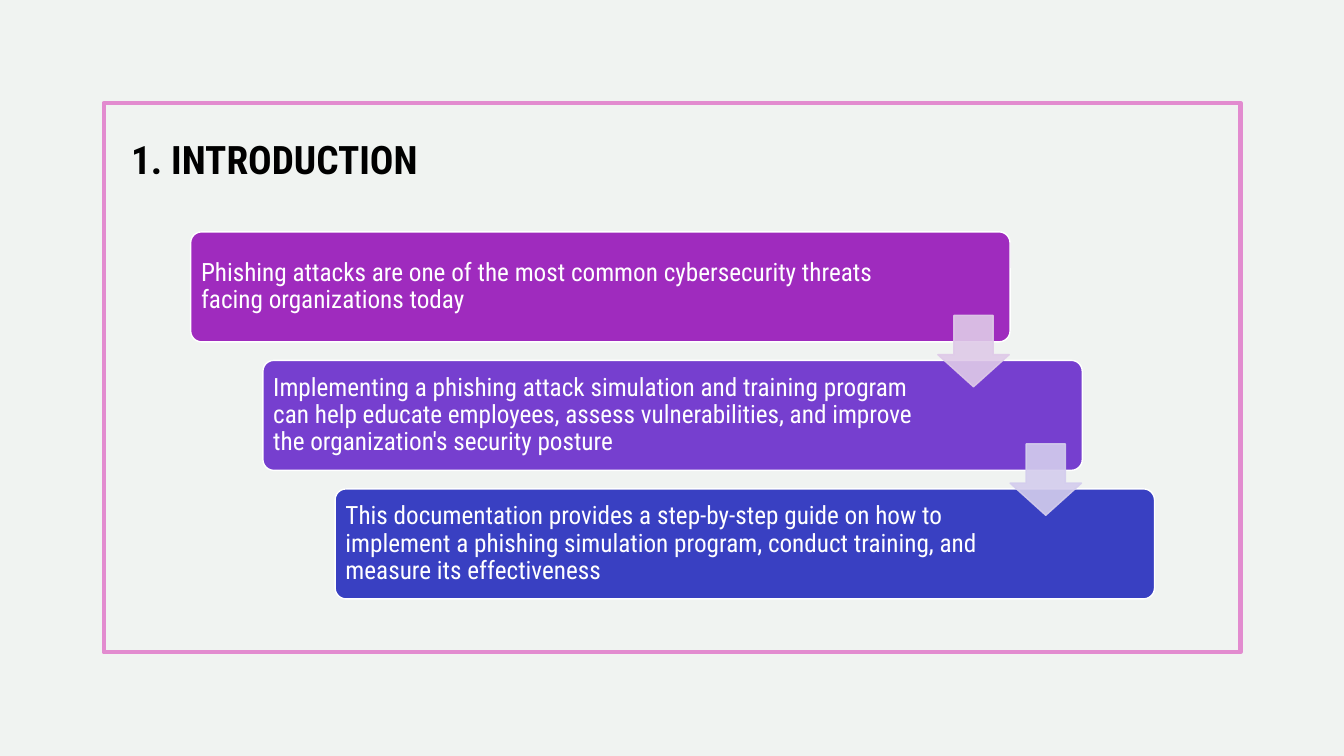
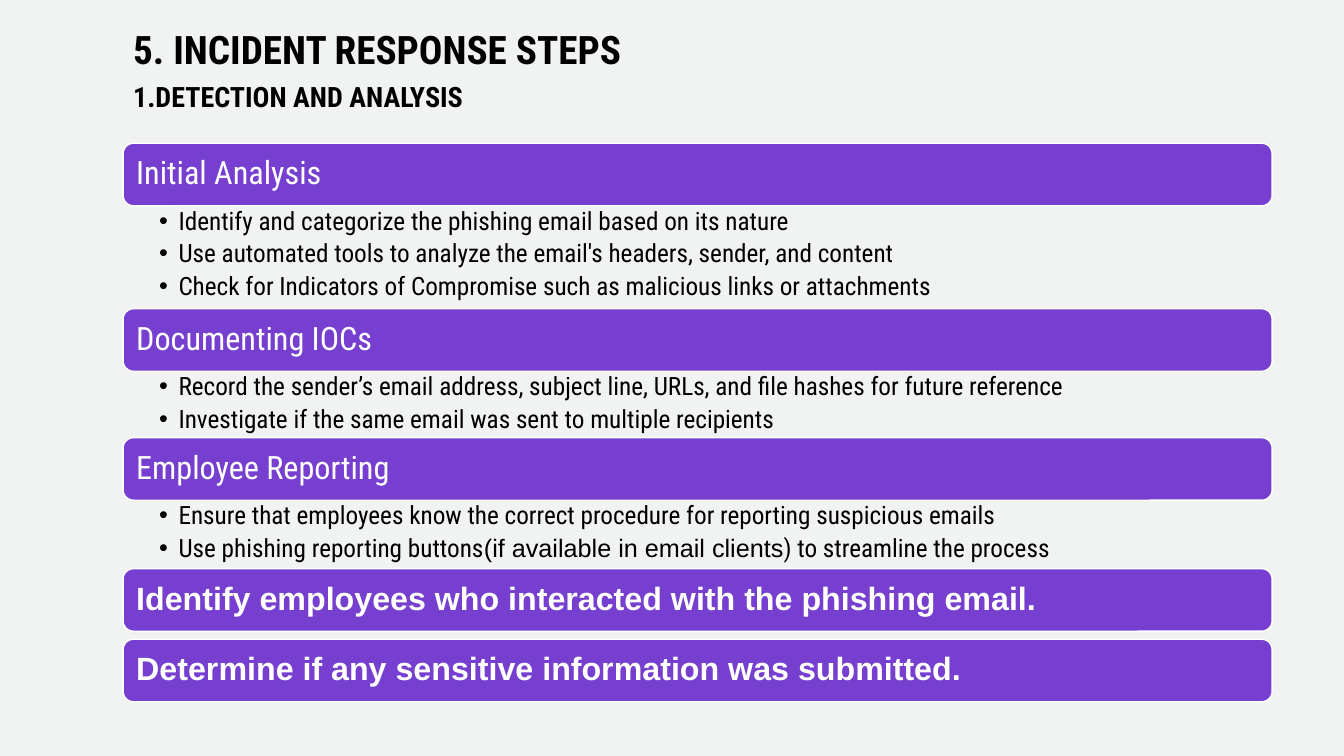
from dataclasses import dataclass
from typing import Any

from lxml.etree import SubElement
from pptx import Presentation
from pptx.dml.color import RGBColor
from pptx.enum.shapes import MSO_SHAPE
from pptx.enum.text import MSO_ANCHOR, MSO_AUTO_SIZE, PP_ALIGN
from pptx.oxml.ns import qn
from pptx.util import Inches, Pt

WIDTH, HEIGHT = Inches(13.333), Inches(7.5)
COLUMNS = 32
CELL = WIDTH / COLUMNS  # square cells: 32 columns by 18 rows

PAPER = RGBColor(0xF0, 0xF3, 0xF1)
BLACK = RGBColor(0x00, 0x00, 0x00)
WHITE = RGBColor(0xFF, 0xFF, 0xFF)
PINK = RGBColor(0xE2, 0x8B, 0xCF)
MAGENTA = RGBColor(0x9F, 0x2B, 0xBE)
VIOLET = RGBColor(0x76, 0x3F, 0xCF)
INDIGO = RGBColor(0x39, 0x40, 0xC2)
LILAC = RGBColor(0xDF, 0xCA, 0xE8)
LAVENDER = RGBColor(0xD4, 0xCD, 0xED)

CONDENSED, PLAIN = "Roboto Condensed", "Arial"


@dataclass(frozen=True)
class Area:
    """A place on the grid, in cells."""
    left: float
    top: float
    width: float
    height: float

    def lengths(self) -> list[int]:
        return [cells(n) for n in (self.left, self.top, self.width, self.height)]


@dataclass(frozen=True)
class Span:
    text: str
    size: float = 18
    font: str = CONDENSED
    bold: bool = False
    color: RGBColor = BLACK


@dataclass(frozen=True)
class Step:
    text: str
    fill: RGBColor
    right_inset: float
    arrow: RGBColor | None = None


@dataclass(frozen=True)
class Section:
    heading: Span
    space_below: float
    bullets: tuple[tuple[Span, ...], ...] = ()


FRAME = Area(2.47, 2.45, 27.07, 13.08)

INTRO_TITLE = Area(2.88, 2.88, 11.5, 2.64)
FIRST_STEP = Area(4.54, 5.52, 19.51, 2.62)
STEP_RIGHT, STEP_DOWN = 1.72, 3.06
ARROW = Area(17.79, 1.99, 1.7, 1.7)  # measured from its step
STEPS = (
    Step("Phishing attacks are one of the most common cybersecurity threats "
         "facing organizations today", MAGENTA, 2.86, LILAC),
    Step("Implementing a phishing attack simulation and training program can help "
         "educate employees, assess vulnerabilities, and improve the organization's "
         "security posture", VIOLET, 3.6, LAVENDER),
    Step("This documentation provides a step-by-step guide on how to implement a "
         "phishing simulation program, conduct training, and measure its "
         "effectiveness", INDIGO, 3.6),
)

RESPONSE_TITLE = Area(2.93, 0.26, 17.74, 2.81)
FIRST_BAR = Area(2.93, 3.41, 27.36, 1.49)
BULLET_INDENT = 0.46


def heading(text: str, **style: Any) -> Span:
    return Span(text, size=23, color=WHITE, **style)


SECTIONS = (
    Section(heading("Initial Analysis"), 2.45, (
        (Span("Identify and categorize the phishing email based on its nature"),),
        (Span("Use automated tools to analyze the email's headers, sender, and content"),),
        (Span("Check for Indicators of Compromise such as malicious links or attachments"),),
    )),
    Section(heading("Documenting IOCs"), 1.58, (
        (Span("Record the sender’s email address, subject line, URLs, and file hashes "
              "for future reference"),),
        (Span("Investigate if the same email was sent to multiple recipients"),),
    )),
    Section(heading("Employee Reporting"), 1.63, (
        (Span("Ensure that employees know the correct procedure for reporting "
              "suspicious emails"),),
        (Span("Use phishing reporting buttons"),
         Span("(if available in email clients", font=PLAIN),
         Span(") to streamline the process")),
    )),
    Section(heading("Identify employees who interacted with the phishing email.",
                    font=PLAIN, bold=True), 0.19),
    Section(heading("Determine if any sensitive information was submitted.",
                    font=PLAIN, bold=True), 0),
)


def cells(count: float) -> int:
    return round(count * CELL)


def assign(target: Any, values: dict[str, Any]) -> None:
    for name, value in values.items():
        setattr(target, name, value)


def set_up_frame(text_frame: Any, insets: tuple[float, float, float, float],
                 anchor: MSO_ANCHOR) -> None:
    """Set wrapping, anchor and insets (left, top, right, bottom, in cells)."""
    sides = ("margin_left", "margin_top", "margin_right", "margin_bottom")
    assign(text_frame, {
        "word_wrap": True, "auto_size": MSO_AUTO_SIZE.NONE, "vertical_anchor": anchor,
        **{side: cells(inset) for side, inset in zip(sides, insets)},
    })


def add_span(para: Any, span: Span) -> None:
    run = para.add_run()
    run.text = span.text
    assign(run.font, {"size": Pt(span.size), "name": span.font, "bold": span.bold})
    run.font.color.rgb = span.color


def add_title(page: Any, area: Area, *lines: Span) -> None:
    box = page.shapes.title
    assign(box, dict(zip(("left", "top", "width", "height"), area.lengths())))
    set_up_frame(box.text_frame, (0.24, 0.12, 0.24, 0.12), MSO_ANCHOR.TOP)
    para = box.text_frame.paragraphs[0]
    assign(para, {"alignment": PP_ALIGN.LEFT, "line_spacing": 1.2})
    for index, line in enumerate(lines):
        if index:
            para.add_line_break()
        add_span(para, line)


def add_figure(page: Any, kind: MSO_SHAPE, area: Area, fill: RGBColor | None,
               line: RGBColor, weight: float = 1,
               adjustments: tuple[float, ...] = ()) -> Any:
    figure = page.shapes.add_shape(kind, *area.lengths())
    figure.shadow.inherit = False
    for index, value in enumerate(adjustments):
        figure.adjustments[index] = value
    if fill is None:
        figure.fill.background()
    else:
        figure.fill.solid()
        figure.fill.fore_color.rgb = fill
    figure.line.color.rgb = line
    figure.line.width = Pt(weight)
    return figure


def add_bar(page: Any, area: Area, fill: RGBColor, rounding: float, span: Span,
            inset: float, right_inset: float) -> None:
    bar = add_figure(page, MSO_SHAPE.ROUNDED_RECTANGLE, area, fill, WHITE,
                     adjustments=(rounding,))
    set_up_frame(bar.text_frame, (inset, inset, right_inset, inset), MSO_ANCHOR.MIDDLE)
    para = bar.text_frame.paragraphs[0]
    assign(para, {"alignment": PP_ALIGN.LEFT, "line_spacing": 0.9})
    add_span(para, span)


def add_arrow(page: Any, step: Area, color: RGBColor) -> None:
    area = Area(step.left + ARROW.left, step.top + ARROW.top, ARROW.width, ARROW.height)
    arrow = add_figure(page, MSO_SHAPE.DOWN_ARROW, area, color, color,
                       adjustments=(0.55, 0.45))
    for tint in arrow._element.spPr.iter(qn("a:srgbClr")):
        SubElement(tint, qn("a:alpha"), val="90000")


def add_bullets(page: Any, area: Area, bullets: tuple[tuple[Span, ...], ...]) -> None:
    box = page.shapes.add_textbox(*area.lengths())
    set_up_frame(box.text_frame, (0.86, 0.07, 0.43, 0.07), MSO_ANCHOR.TOP)
    for index, spans in enumerate(bullets):
        para = box.text_frame.add_paragraph() if index else box.text_frame.paragraphs[0]
        para.line_spacing = 0.9
        if index:
            para.space_before = Pt(3.6)
        properties = para._p.get_or_add_pPr()
        properties.set("marL", str(cells(BULLET_INDENT)))
        properties.set("indent", str(-cells(BULLET_INDENT)))
        SubElement(properties, qn("a:buFont"), typeface=PLAIN)
        SubElement(properties, qn("a:buChar"), char="•")
        for span in spans:
            add_span(para, span)


def build_introduction(page: Any) -> None:
    add_figure(page, MSO_SHAPE.RECTANGLE, FRAME, None, PINK, weight=3)
    add_title(page, INTRO_TITLE, Span("1. INTRODUCTION", 28, bold=True))
    areas = [Area(FIRST_STEP.left + index * STEP_RIGHT, FIRST_STEP.top + index * STEP_DOWN,
                  FIRST_STEP.width, FIRST_STEP.height) for index in range(len(STEPS))]
    for step, area in zip(STEPS, areas):
        add_bar(page, area, step.fill, 0.1, Span(step.text, color=WHITE),
                0.17, step.right_inset)
    for step, area in zip(STEPS, areas):
        if step.arrow is not None:
            add_arrow(page, area, step.arrow)


def build_response(page: Any) -> None:
    add_title(page, RESPONSE_TITLE, Span("5. INCIDENT RESPONSE STEPS", 28, bold=True),
              Span("1.DETECTION AND ANALYSIS", 20, bold=True))
    left, top, width, height = (FIRST_BAR.left, FIRST_BAR.top,
                                FIRST_BAR.width, FIRST_BAR.height)
    for section in SECTIONS:
        add_bar(page, Area(left, top, width, height), VIOLET, 0.167,
                section.heading, 0.24, 0.24)
        top += height
        if section.bullets:
            add_bullets(page, Area(left, top, width, section.space_below), section.bullets)
        top += section.space_below


def main() -> None:
    deck = Presentation()
    deck.slide_width, deck.slide_height = WIDTH, HEIGHT
    background = deck.slide_master.background.fill
    background.solid()
    background.fore_color.rgb = PAPER
    title_only = deck.slide_layouts.get_by_name("Title Only")
    for build in (build_introduction, build_response):
        build(deck.slides.add_slide(title_only))
    deck.save("out.pptx")


if __name__ == "__main__":
    main()
